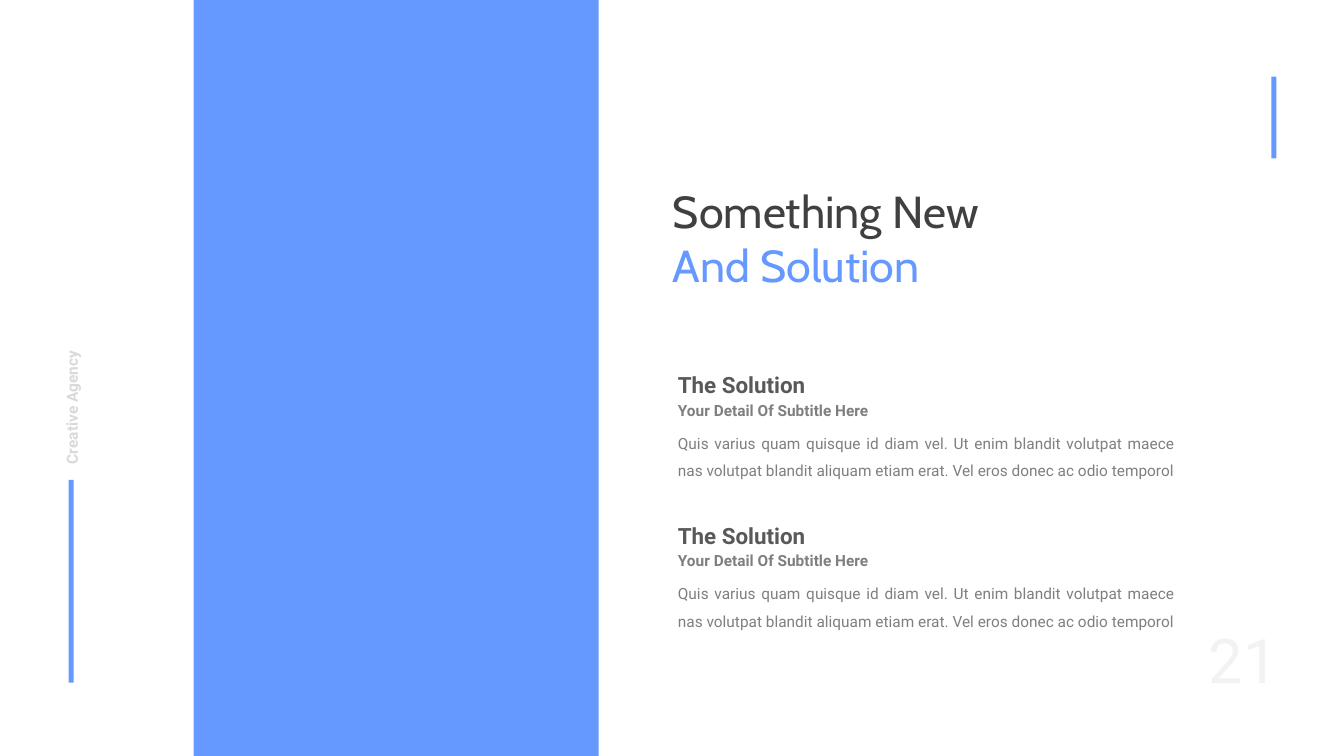
import pptx
import pptx.util
import pptx.dml.color
import pptx.enum.shapes
import pptx.enum.text
from dataclasses import dataclass

Cm = pptx.util.Cm
ALIGN = pptx.enum.text.PP_ALIGN

# Content
TITLE = ("Something New ", "And Solution")
AGENCY = "Creative Agency"
PAGE_NUMBER = "21"
DETAIL = ("Quis varius quam quisque id diam vel. Ut enim blandit volutpat maece "
          "nas volutpat blandit aliquam etiam erat. Vel eros donec ac odio temporol")
SOLUTIONS = [
    ("The Solution", "Your Detail Of Subtitle Here", DETAIL),
    ("The Solution", "Your Detail Of Subtitle Here", DETAIL),
]

# Placement in centimetres: left, top, width, height
BLUE_BARS = [
    (4.88, 0, 10.21, 19.05),    # picture panel
    (1.73, 12.09, 0.13, 5.11),  # below the agency name
    (32.05, 1.93, 0.13, 2.06),  # top right accent
]
SOLUTION_LEFT, SOLUTION_TOP, SOLUTION_PITCH = 16.84, 8.89, 3.8


@dataclass
class Theme:
    accent: str = "6699FF"
    title: str = "404040"
    heading: str = "595959"
    body: str = "7F7F7F"
    agency: str = "D9D9D9"
    number: str = "F2F2F2"
    title_font: str = "Cabin"
    body_font: str = "Roboto"
    title_size: int = 32
    heading_size: int = 16
    body_size: int = 11
    number_size: int = 44


THEME = Theme()


def rgb(color):
    return pptx.dml.color.RGBColor.from_string(color)


def place(shape, area):
    shape.left, shape.top, shape.width, shape.height = (Cm(value) for value in area)


def add_bar(page, area):
    bar = page.shapes.add_shape(pptx.enum.shapes.MSO_SHAPE.RECTANGLE,
                                *(Cm(value) for value in area))
    bar.shadow.inherit = False
    bar.fill.solid()
    bar.fill.fore_color.rgb = rgb(THEME.accent)
    bar.line.fill.background()


def add_text(page, text, area, size, color, bold=False, align=ALIGN.LEFT, spacing=1.5):
    box = page.shapes.add_textbox(*(Cm(value) for value in area))
    box.text_frame.word_wrap = True
    para = box.text_frame.paragraphs[0]
    para.text = text
    para.alignment = align
    para.line_spacing = spacing
    para.font.name = THEME.body_font
    para.font.size = pptx.util.Pt(size)
    para.font.bold = bold
    para.font.color.rgb = rgb(color)
    return box


def fill_title(page):
    title = page.shapes.title
    place(title, (16.71, 4.5, 8.64, 4.3))
    frame = title.text_frame
    frame.word_wrap = True
    frame.auto_size = pptx.enum.text.MSO_AUTO_SIZE.NONE
    frame.vertical_anchor = pptx.enum.text.MSO_ANCHOR.TOP
    para = frame.paragraphs[0]
    para.alignment = ALIGN.LEFT
    para.font.name = THEME.title_font
    para.font.size = pptx.util.Pt(THEME.title_size)
    for text, color in zip(TITLE, (THEME.title, THEME.accent)):
        span = para.add_run()
        span.text = text
        span.font.color.rgb = rgb(color)


def main():
    deck = pptx.Presentation()
    deck.slide_width, deck.slide_height = Cm(33.88), Cm(19.05)
    page = deck.slides.add_slide(deck.slide_layouts.get_by_name("Title Only"))

    # Panel and accents
    for area in BLUE_BARS:
        add_bar(page, area)

    # Agency name, read upwards
    agency = add_text(page, AGENCY, (-0.23, 9.53, 3.86, 0.97),
                      THEME.body_size, THEME.agency, bold=True)
    agency.rotation = 270

    fill_title(page)

    # Solutions, one below the other
    for index, (heading, subtitle, detail) in enumerate(SOLUTIONS):
        top = SOLUTION_TOP + index * SOLUTION_PITCH
        add_text(page, heading, (SOLUTION_LEFT, top, 5.66, 1.27),
                 THEME.heading_size, THEME.heading, bold=True)
        add_text(page, subtitle, (SOLUTION_LEFT, top + 0.85, 8.51, 0.97),
                 THEME.body_size, THEME.body, bold=True)
        add_text(page, detail, (SOLUTION_LEFT, top + 1.68, 13.03, 2.36),
                 THEME.body_size, THEME.body, align=ALIGN.JUSTIFY)

    # Page number
    add_text(page, PAGE_NUMBER, (29.9, 15.55, 2.9, 2.1), THEME.number_size,
             THEME.number, align=ALIGN.CENTER, spacing=1.0)

    deck.save("out.pptx")


if __name__ == "__main__":
    main()
